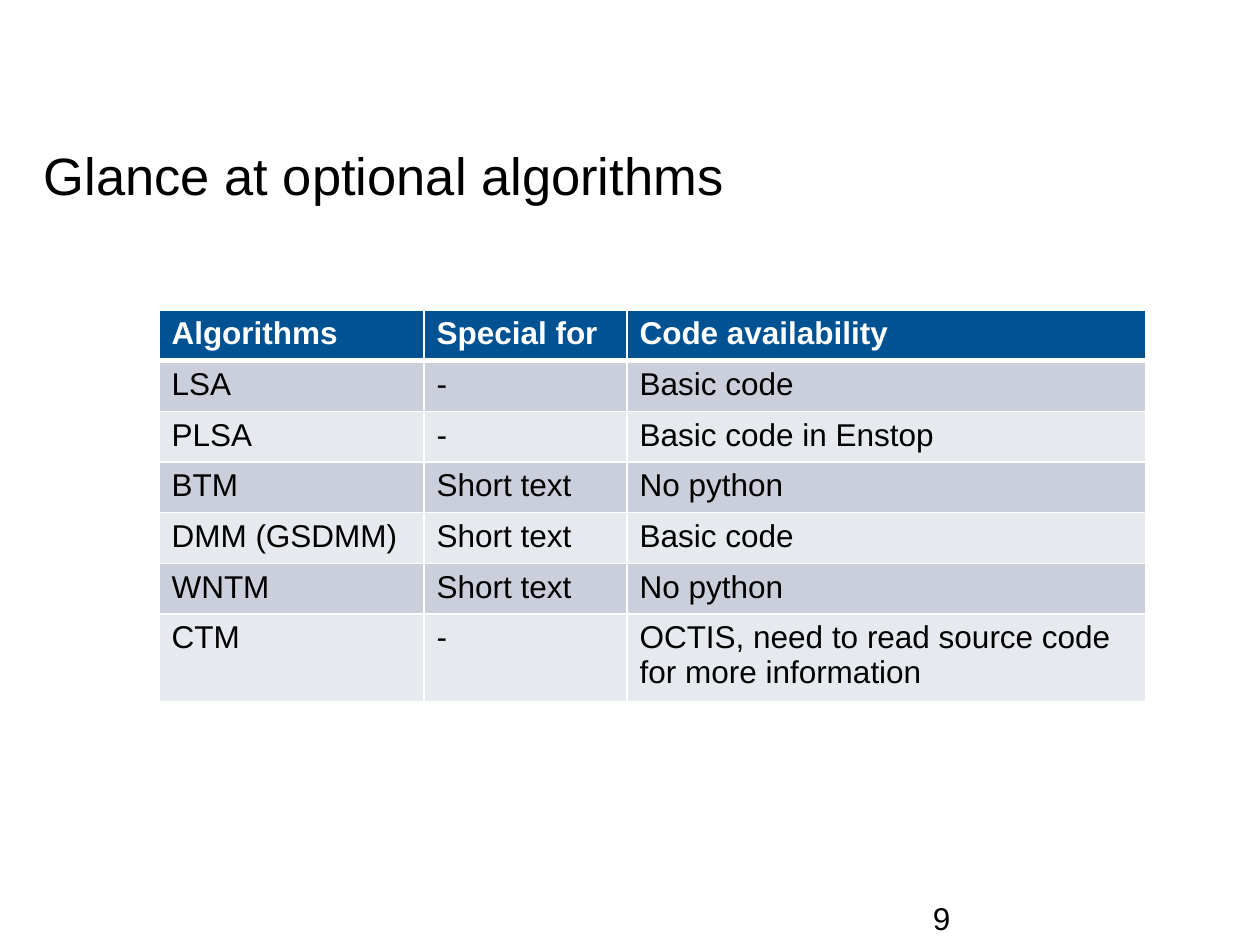
from lxml import etree
from pptx import Presentation
from pptx.dml.color import RGBColor
from pptx.enum.text import MSO_ANCHOR
from pptx.oxml.ns import qn
from pptx.util import Emu, Pt

TOP = MSO_ANCHOR.TOP
MIDDLE = MSO_ANCHOR.MIDDLE

BLACK = RGBColor(0x00, 0x00, 0x00)
WHITE = RGBColor(0xFF, 0xFF, 0xFF)
BLUE = RGBColor(0x00, 0x52, 0x93)
DARK = RGBColor(0xCA, 0xCF, 0xDB)
LIGHT = RGBColor(0xE6, 0xE9, 0xEE)

FONT = "Arial"
COLS = [265, 203, 519]
HEIGHTS = [50, 51, 50, 50, 51, 50, 88]
ROWS = [
    ("Algorithms", "Special for", "Code availability"),
    ("LSA", "-", "Basic code"),
    ("PLSA", "-", "Basic code in Enstop"),
    ("BTM", "Short text", "No python"),
    ("DMM (GSDMM)", "Short text", "Basic code"),
    ("WNTM", "Short text", "No python"),
    ("CTM", "-", "OCTIS, need to read source code for more information"),
]


def px(count):
    return Emu(round(count * 914400 / 126))


def style(para, size, color, bold=False):
    font = para.font
    font.name = FONT
    font.size = Pt(size)
    font.bold = bold
    font.color.rgb = color


def add_text(slide, box, text, size, anchor, pad=0, spacing=None):
    frame = slide.shapes.add_textbox(*map(px, box)).text_frame
    frame.word_wrap = True
    frame.vertical_anchor = anchor
    frame.margin_left = frame.margin_right = 0
    frame.margin_top = frame.margin_bottom = px(pad)
    para = frame.paragraphs[0]
    para.text = text
    para.line_spacing = spacing
    style(para, size, BLACK)


def add_edge(props, index, side, width):
    line = etree.Element(qn("a:ln" + side), w=str(Pt(width)))
    fill = etree.SubElement(line, qn("a:solidFill"))
    etree.SubElement(fill, qn("a:srgbClr"), val=str(WHITE))
    props.insert(index, line)


def fill_cell(cell, text, row):
    head = row == 0
    cell.text = text
    style(cell.text_frame.paragraphs[0], 18, WHITE if head else BLACK, head)
    cell.fill.solid()
    cell.fill.fore_color.rgb = BLUE if head else DARK if row % 2 else LIGHT
    props = cell._tc.get_or_add_tcPr()
    for index, side in enumerate("LRTB"):
        thick = (side == "B" and head) or (side == "T" and row == 1)
        add_edge(props, index, side, 3 if thick else 0.96)


def add_grid(slide, left, top):
    box = map(px, (left, top, sum(COLS), sum(HEIGHTS)))
    table = slide.shapes.add_table(len(ROWS), len(COLS), *box).table
    for column, width in zip(table.columns, COLS):
        column.width = px(width)
    for row, (texts, height) in enumerate(zip(ROWS, HEIGHTS)):
        table.rows[row].height = px(height)
        for col, text in enumerate(texts):
            fill_cell(table.cell(row, col), text, row)


def main():
    deck = Presentation()
    deck.slide_width = px(1260)
    deck.slide_height = px(945)
    slide = deck.slides.add_slide(deck.slide_layouts[6])
    add_text(slide, (933, 892, 283, 51), "9", 18, MIDDLE, pad=6)
    add_text(slide, (44, 139, 1172, 57), "Glance at optional algorithms", 30, TOP, spacing=1.06)
    add_grid(slide, 159, 310)
    deck.save("out.pptx")


if __name__ == "__main__":
    main()
